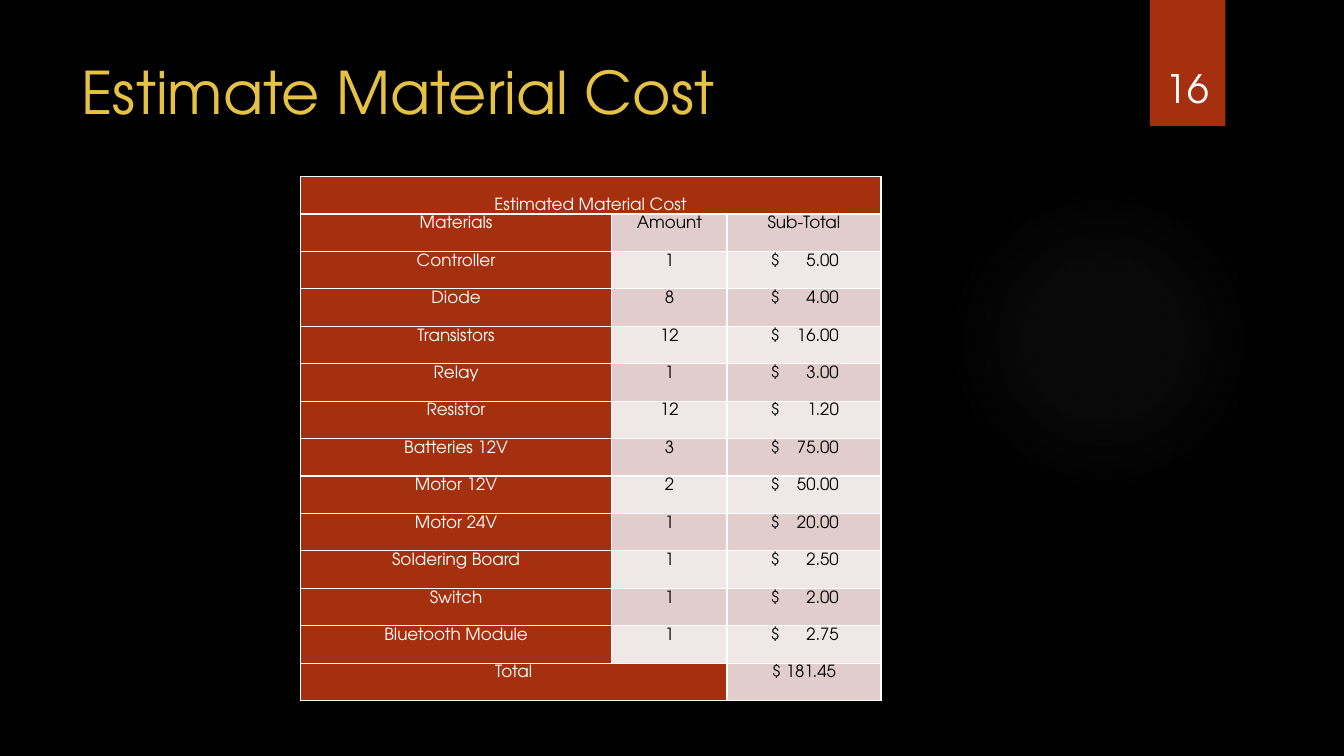
from lxml import etree
from pptx import Presentation
from pptx import util as u
from pptx.dml.color import RGBColor
from pptx.enum import shapes, text
from pptx.oxml import ns

FONT = "TeX Gyre Adventor"
BLACK, WHITE, GOLD, RUST = "000000", "FFFFFF", "E5C243", "A5300F"
BANDS = ["E1CDCC", "F0E8E7"]

TITLE = "Estimate Material Cost"
PAGE_NUMBER = "16"
CAPTION = "Estimated Material Cost"
HEADINGS = ("Materials", "Amount", "Sub-Total")
MATERIALS = [
    ("Controller", "1", "5.00"),
    ("Diode", "8", "4.00"),
    ("Transistors", "12", "16.00"),
    ("Relay", "1", "3.00"),
    ("Resistor", "12", "1.20"),
    ("Batteries 12V", "3", "75.00"),
    ("Motor 12V", "2", "50.00"),
    ("Motor 24V", "1", "20.00"),
    ("Soldering Board", "1", "2.50"),
    ("Switch", "1", "2.00"),
    ("Bluetooth Module", "1", "2.75"),
]
TOTAL = ("Total", "", "$ 181.45")

COLUMN_WIDTHS = [7.85, 2.9, 3.88]
TABLE_LEFT, TABLE_TOP, TABLE_HEIGHT = 7.57, 4.45, 13.21
CELL_INSET, PRICE_INSET, PRICE_TAB = 0.13, 1.1, 1.72
GLOW_STOPS = [(0, 7), (36, 6), (69, 0)]


def color(value):
    return RGBColor.from_string(value)


def add_element(parent, tag, **attributes):
    element = etree.SubElement(parent, ns.qn(tag))
    for name, value in attributes.items():
        element.set(name, str(value))
    return element


def write(frame, words, size=12, ink=BLACK, align="CENTER", spacing=None, tab=None):
    frame.word_wrap = True
    para = frame.paragraphs[0]
    para.alignment = getattr(text.PP_ALIGN, align)
    if spacing:
        para.line_spacing = spacing
    if tab:
        stops = add_element(para._p.get_or_add_pPr(), "a:tabLst")
        add_element(stops, "a:tab", pos=u.Cm(tab), algn="r")
    span = para.add_run()
    span.text = words
    span.font.name = FONT
    span.font.size = u.Pt(size)
    span.font.color.rgb = color(ink)


def add_box(page, place, words, anchor, **style):
    frame = page.shapes.add_textbox(*map(u.Cm, place)).text_frame
    frame.vertical_anchor = anchor
    write(frame, words, **style)


def add_plain_shape(page, kind, place):
    shape = page.shapes.add_shape(kind, *map(u.Cm, place))
    shape.shadow.inherit = False
    shape.line.fill.background()
    return shape


def add_glow(page):
    glow = add_plain_shape(page, shapes.MSO_SHAPE.OVAL, (23.9, 4.65, 7.82, 7.82))
    gradient = etree.Element(ns.qn("a:gradFill"), rotWithShape="1")
    stops = add_element(gradient, "a:gsLst")
    for position, opacity in GLOW_STOPS:
        stop = add_element(stops, "a:gs", pos=position * 1000)
        shade = add_element(stop, "a:srgbClr", val="848484")
        add_element(shade, "a:alpha", val=opacity * 1000)
    circle = add_element(gradient, "a:path", path="circle")
    add_element(circle, "a:fillToRect", l=50000, t=50000, r=50000, b=50000)
    glow._element.spPr.find(ns.qn("a:prstGeom")).addnext(gradient)


def format_cell(cell, fill):
    properties = cell._tc.get_or_add_tcPr()
    for side in "LRTB":
        border = add_element(properties, f"a:ln{side}", w=u.Pt(1))
        add_element(add_element(border, "a:solidFill"), "a:srgbClr", val=WHITE)
    cell.fill.solid()
    cell.fill.fore_color.rgb = color(fill)
    cell.margin_left = cell.margin_right = u.Cm(CELL_INSET)
    cell.margin_top = cell.margin_bottom = 0


def add_cost_table(page):
    rows = [(CAPTION, "", ""), HEADINGS, *MATERIALS, TOTAL]
    last = len(rows) - 1
    place = TABLE_LEFT, TABLE_TOP, sum(COLUMN_WIDTHS), TABLE_HEIGHT
    table = page.shapes.add_table(len(rows), 3, *map(u.Cm, place)).table
    for column, width in zip(table.columns, COLUMN_WIDTHS):
        column.width = u.Cm(width)
    for r, row in enumerate(rows):
        table.rows[r].height = u.Cm(TABLE_HEIGHT / len(rows))
        for c, words in enumerate(row):
            cell = table.cell(r, c)
            dark = c == 0 or r == 0 or (r == last and c == 1)
            format_cell(cell, RUST if dark else BANDS[(r + 1) % 2])
            style = dict(ink=WHITE if dark else BLACK, spacing=1.15)
            if c == 2 and 1 < r < last:
                words = f"$\t{words}"
                cell.margin_left = u.Cm(PRICE_INSET)
                style.update(align="LEFT", tab=PRICE_TAB)
            if words:
                write(cell.text_frame, words, **style)
    table.cell(0, 0).vertical_anchor = text.MSO_ANCHOR.BOTTOM
    table.cell(0, 0).merge(table.cell(0, 2))
    table.cell(last, 0).merge(table.cell(last, 1))


def main():
    deck = Presentation()
    deck.slide_width, deck.slide_height = u.Cm(33.87), u.Cm(19.05)
    page = deck.slides.add_slide(deck.slide_layouts[6])
    page.background.fill.solid()
    page.background.fill.fore_color.rgb = color(BLACK)

    add_glow(page)
    ribbon = add_plain_shape(page, shapes.MSO_SHAPE.RECTANGLE, (28.98, 0, 1.9, 3.18))
    ribbon.fill.solid()
    ribbon.fill.fore_color.rgb = color(RUST)

    add_box(page, (1.8, 1.27, 27.94, 3.89), TITLE, text.MSO_ANCHOR.TOP,
            size=42, ink=GOLD, align="LEFT")
    add_box(page, (28.75, 0.81, 2.34, 2.13), PAGE_NUMBER, text.MSO_ANCHOR.BOTTOM,
            size=28, ink=WHITE)
    add_cost_table(page)
    deck.save("out.pptx")


if __name__ == "__main__":
    main()
